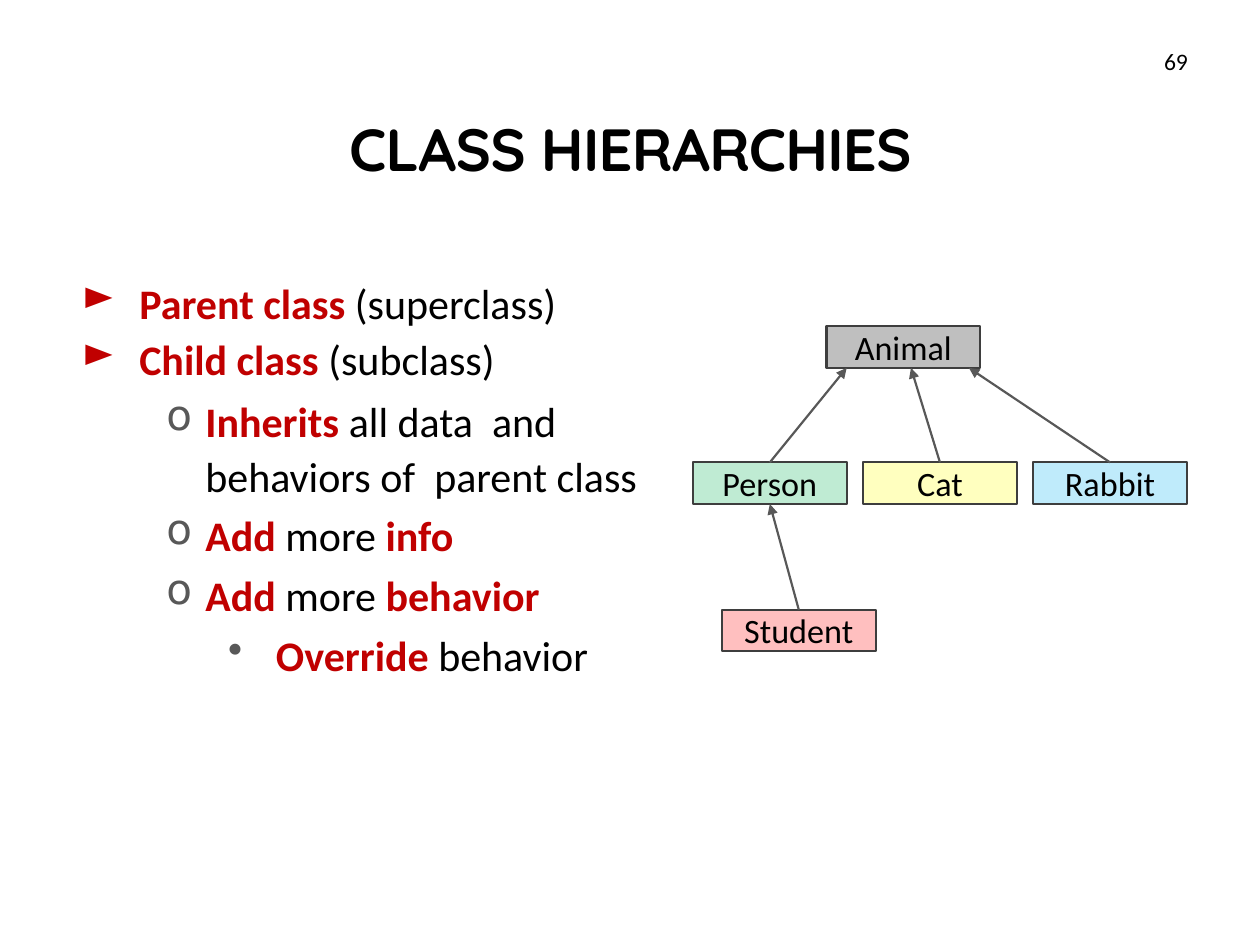
from dataclasses import dataclass, field

from lxml.etree import SubElement
from pptx import Presentation
from pptx.dml.color import RGBColor
from pptx.enum.shapes import MSO_CONNECTOR as Connector, MSO_SHAPE as Shape
from pptx.enum.text import MSO_ANCHOR as Anchor, PP_ALIGN as Align
from pptx.oxml.ns import qn
from pptx.util import Inches, Pt

COLORS = {
    "text": "000000", "accent": "C00000", "muted": "585858", "border": "3E3E3E",
    "gray": "BFBFBF", "green": "BFEBD3", "yellow": "FFFFBF", "blue": "BFEBFB", "pink": "FFBFBF",
}
BOX_WIDTH, BOX_HEIGHT = 1.22, 0.33
CHILD_LEFT, CHILD_TOP, CHILD_PITCH = 5.5, 3.67, 1.35
PARENT_TOP, STUDENT_TOP = 2.59, 4.84

LEVELS = [
    {"bullet": "►", "color": "accent", "margin": 0.39, "hang": 0.38},
    {"bullet": "o", "color": "muted", "margin": 0.99, "hang": 0.31},
    {"bullet": "•", "color": "muted", "margin": 1.55, "hang": 0.38},
]
POINTS = [
    (0, 0.8, [(" Parent class ", True), ("(superclass)", False)]),
    (0, 0.8, [(" Child class ", True), ("(subclass)", False)]),
    (1, 3.4, [("Inherits ", True), ("all data  and behaviors of  parent class", False)]),
    (1, 2.1, [("Add ", True), ("more ", False), ("info", True)]),
    (1, 2.4, [("Add ", True), ("more ", False), ("behavior", True)]),
    (2, 2.4, [("Override ", True), ("behavior", False)]),
]


def rgb(name):
    """Return the named colour."""
    return RGBColor.from_string(COLORS[name])


@dataclass
class SlideBuilder:
    """Holds the style and the current slide."""

    slide: object
    body_font: str = "Calibri"
    title_font: str = "Quicksand"
    colors: dict = field(default_factory=lambda: COLORS)

    def run(self, paragraph, text, size, color="text", bold=False, font=None):
        """Add one styled run."""
        run = paragraph.add_run()
        run.text = text
        run.font.size = Pt(size)
        run.font.name = font or self.body_font
        run.font.bold = bold
        run.font.color.rgb = rgb(color)
        return run

    def frame(self, left, top, width, height, margins=(0, 0.01, 0, 0)):
        """Add a wrapping text box and return its frame."""
        box = self.slide.shapes.add_textbox(*map(Inches, (left, top, width, height)))
        frame = box.text_frame
        frame.word_wrap = True
        (frame.margin_left, frame.margin_top,
         frame.margin_right, frame.margin_bottom) = map(Inches, margins)
        return frame

    def title(self, text):
        """Add the centred heading."""
        frame = self.frame(2.37, 0.94, 5.27, 0.53)
        frame.vertical_anchor = Anchor.MIDDLE
        paragraph = frame.paragraphs[0]
        paragraph.alignment = Align.CENTER
        paragraph.line_spacing = 0.9
        heading = self.run(paragraph, text, 34, bold=True, font=self.title_font)
        heading.font._element.set("spc", "-40")

    def page_number(self, number):
        """Add the page number."""
        frame = self.frame(9.14, 0.32, 0.86, 0.84, (0.1, 0.05, 0.1, 0.05))
        self.run(frame.paragraphs[0], number, 13.5)

    def bullets(self, points):
        """Add the bulleted outline."""
        frame = self.frame(0.64, 2.15, 5.04, 3.24)
        for index, (level, space, parts) in enumerate(points):
            paragraph = frame.add_paragraph() if index else frame.paragraphs[0]
            paragraph.level = level
            paragraph.line_spacing = 1.1
            paragraph.space_before = Pt(space)
            style = LEVELS[level]
            properties = paragraph._p.get_or_add_pPr()
            properties.set("marL", str(Inches(style["margin"])))
            properties.set("indent", str(-Inches(style["hang"])))
            bullet_color = SubElement(properties, qn("a:buClr"))
            SubElement(bullet_color, qn("a:srgbClr"), val=self.colors[style["color"]])
            SubElement(properties, qn("a:buChar"), char=style["bullet"])
            for text, key in parts:
                self.run(paragraph, text, 24, "accent" if key else "text", key)

    def class_box(self, name, left, top, fill):
        """Add one labelled class."""
        box = self.slide.shapes.add_shape(
            Shape.RECTANGLE, *map(Inches, (left, top, BOX_WIDTH, BOX_HEIGHT)))
        box.shadow.inherit = False
        box.fill.solid()
        box.fill.fore_color.rgb = rgb(fill)
        box.line.color.rgb = rgb("border")
        box.line.width = Pt(1.25)
        frame = box.text_frame
        frame.margin_left = frame.margin_top = frame.margin_right = frame.margin_bottom = 0
        frame.vertical_anchor = Anchor.TOP
        frame.paragraphs[0].alignment = Align.CENTER
        self.run(frame.paragraphs[0], name, 19.5)

    def arrow(self, start_x, start_y, end_x, end_y):
        """Add an arrow from a child class to its parent."""
        arrow = self.slide.shapes.add_connector(
            Connector.STRAIGHT, *map(Inches, (start_x, start_y, end_x, end_y)))
        arrow.line.color.rgb = rgb("muted")
        arrow.line.width = Pt(1.25)
        SubElement(arrow.line._get_or_add_ln(), qn("a:tailEnd"), type="triangle")
        SubElement(arrow._element.spPr, qn("a:effectLst"))


def main():
    """Build and save the slide."""
    deck = Presentation()
    deck.slide_width, deck.slide_height = Inches(10), Inches(7.5)
    builder = SlideBuilder(deck.slides.add_slide(deck.slide_layouts[6]))
    builder.title("CLASS HIERARCHIES")
    builder.page_number("69")
    builder.bullets(POINTS)

    builder.class_box("Animal", 6.56, PARENT_TOP, "gray")
    children = [("Person", "green", 6.72), ("Cat", "yellow", 7.23), ("Rabbit", "blue", 7.69)]
    for index, (name, fill, target) in enumerate(children):
        left = CHILD_LEFT + index * CHILD_PITCH
        builder.class_box(name, left, CHILD_TOP, fill)
        builder.arrow(left + BOX_WIDTH / 2, CHILD_TOP, target, PARENT_TOP + BOX_HEIGHT)

    student_left = 5.73
    builder.class_box("Student", student_left, STUDENT_TOP, "pink")
    builder.arrow(student_left + BOX_WIDTH / 2, STUDENT_TOP,
                  CHILD_LEFT + BOX_WIDTH / 2, CHILD_TOP + BOX_HEIGHT)
    deck.save("out.pptx")


if __name__ == "__main__":
    main()
